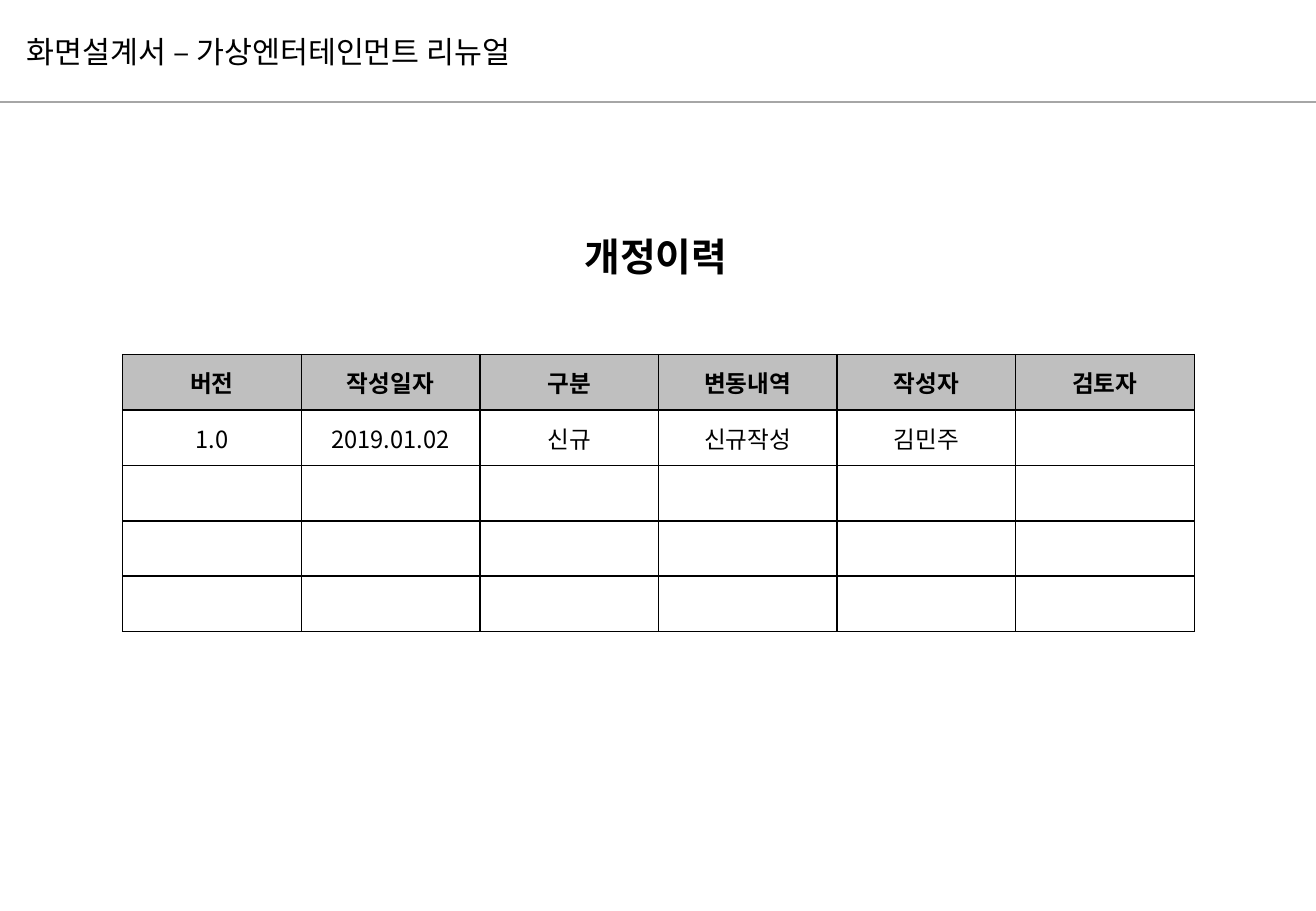
from dataclasses import dataclass

from lxml.etree import SubElement
from pptx import Presentation
from pptx.dml.color import RGBColor
from pptx.enum.shapes import MSO_CONNECTOR
from pptx.enum.text import MSO_ANCHOR, PP_ALIGN
from pptx.oxml.ns import qn
from pptx.util import Inches, Pt

HEADER = "화면설계서 – 가상엔터테인먼트 리뉴얼"
TITLE = "개정이력"
COLUMNS = ["버전", "작성일자", "구분", "변동내역", "작성자", "검토자"]
REVISIONS = [("1.0", "2019.01.02", "신규", "신규작성", "김민주", "")]
ROW_COUNT = 5


@dataclass(frozen=True)
class Theme:
    font: str = "Noto Sans CJK KR"
    text: str = "000000"
    rule: str = "A6A6A6"
    border: str = "000000"
    heading_fill: str = "BFBFBF"
    cell_fill: str = "FFFFFF"
    header_size: int = 18
    title_size: int = 23
    table_size: int = 14


THEME = Theme()
SLIDE_WIDTH, SLIDE_HEIGHT = 10.83, 7.5
RULE_TOP = 0.84
TABLE_LEFT, TABLE_TOP = 1.01, 2.92
TABLE_WIDTH, TABLE_HEIGHT = 8.82, 2.28


def write_text(frame, text, *, size, bold=False, align=PP_ALIGN.LEFT):
    paragraph = frame.paragraphs[0]
    paragraph.alignment = align
    run = paragraph.add_run()
    run.text = text
    font = run.font
    font.name = THEME.font
    font.size = Pt(size)
    font.bold = bold
    font.color.rgb = RGBColor.from_string(THEME.text)
    SubElement(font._element, qn("a:ea"), typeface=THEME.font)


def add_label(slide, text, left, top, width, height, *, inset=0.11, wrap=True, **text_format):
    box = slide.shapes.add_textbox(Inches(left), Inches(top), Inches(width), Inches(height))
    frame = box.text_frame
    frame.word_wrap = wrap
    frame.margin_left, frame.margin_right = Inches(inset), Inches(0.11)
    frame.margin_top = frame.margin_bottom = Inches(0.06)
    write_text(frame, text, **text_format)


def add_rule(slide):
    rule = slide.shapes.add_connector(
        MSO_CONNECTOR.STRAIGHT, 0, Inches(RULE_TOP), Inches(SLIDE_WIDTH), Inches(RULE_TOP)
    )
    rule.line.color.rgb = RGBColor.from_string(THEME.rule)
    rule.line.width = Pt(1.5)
    SubElement(rule._element.spPr, qn("a:effectLst"))


def format_cell(cell, fill):
    cell.vertical_anchor = MSO_ANCHOR.MIDDLE
    cell.margin_left = cell.margin_right = Inches(0.11)
    cell.margin_top = cell.margin_bottom = Inches(0.05)
    properties = cell._tc.get_or_add_tcPr()
    for side in ("lnL", "lnR", "lnT", "lnB"):
        line = SubElement(properties, qn(f"a:{side}"), w=str(Pt(1)))
        SubElement(SubElement(line, qn("a:solidFill")), qn("a:srgbClr"), val=THEME.border)
    cell.fill.solid()
    cell.fill.fore_color.rgb = RGBColor.from_string(fill)


def add_revision_table(slide):
    table = slide.shapes.add_table(
        ROW_COUNT, len(COLUMNS), Inches(TABLE_LEFT), Inches(TABLE_TOP),
        Inches(TABLE_WIDTH), Inches(TABLE_HEIGHT),
    ).table
    table.horz_banding = False
    contents = [COLUMNS, *REVISIONS]
    contents += [[""] * len(COLUMNS)] * (ROW_COUNT - len(contents))
    for row_index, values in enumerate(contents):
        is_heading = row_index == 0
        for column_index, value in enumerate(values):
            cell = table.cell(row_index, column_index)
            format_cell(cell, THEME.heading_fill if is_heading else THEME.cell_fill)
            if value:
                write_text(cell.text_frame, value, size=THEME.table_size,
                           bold=is_heading, align=PP_ALIGN.CENTER)


def main():
    presentation = Presentation()
    presentation.slide_width = Inches(SLIDE_WIDTH)
    presentation.slide_height = Inches(SLIDE_HEIGHT)
    slide = presentation.slides.add_slide(presentation.slide_layouts[6])
    add_rule(slide)
    add_label(slide, HEADER, 0, 0.21, SLIDE_WIDTH, 0.42, inset=0.22, size=THEME.header_size)
    add_label(slide, TITLE, 4.7, 1.86, 1.52, 0.5, wrap=False, size=THEME.title_size, bold=True)
    add_revision_table(slide)
    presentation.save("out.pptx")


if __name__ == "__main__":
    main()
